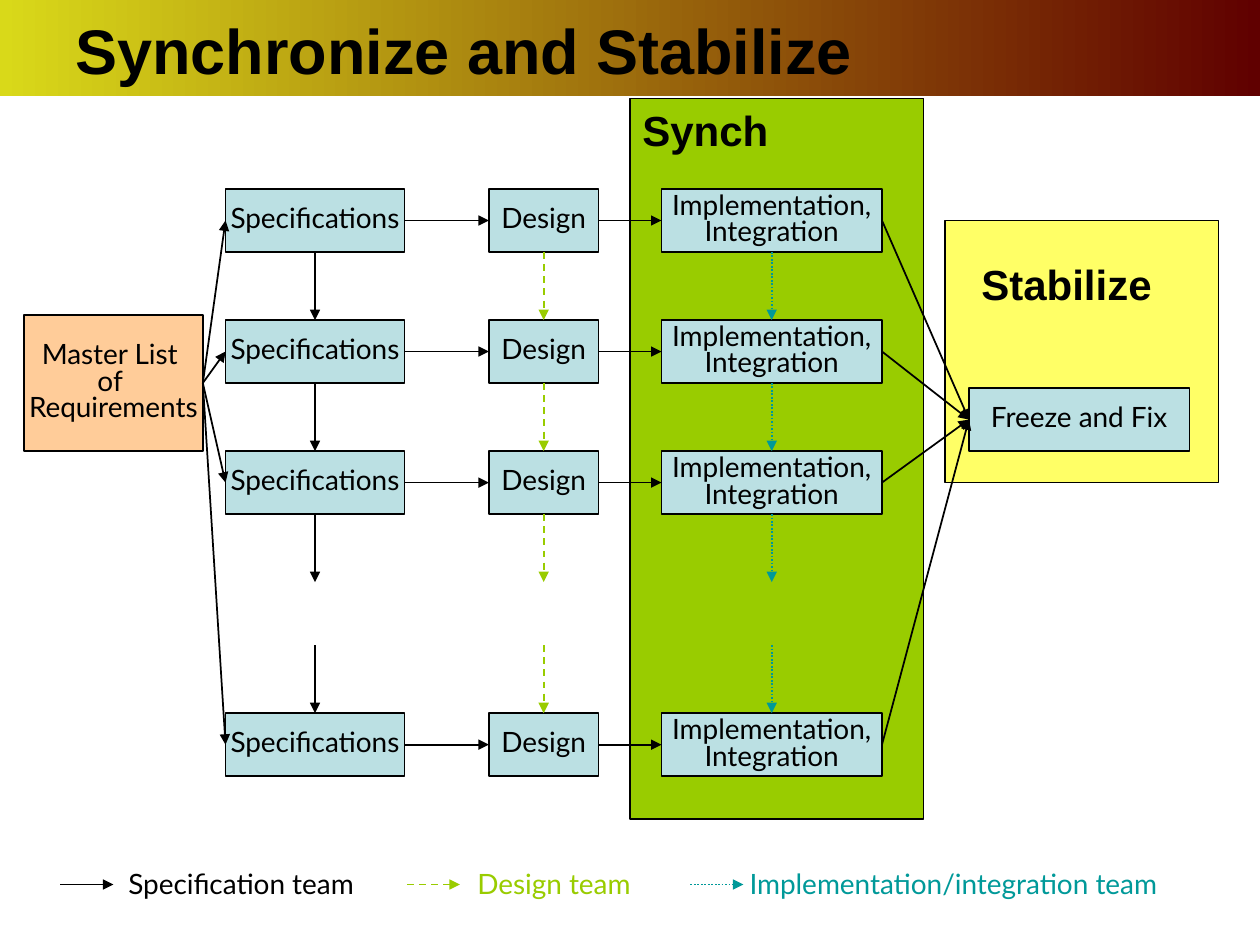
from lxml.etree import SubElement
from pptx import Presentation
from pptx.dml.color import RGBColor
from pptx.enum.dml import MSO_LINE as Dash
from pptx.enum.shapes import MSO_CONNECTOR as Connector, MSO_SHAPE as Shape
from pptx.enum.text import MSO_ANCHOR as Anchor, PP_ALIGN as Align
from pptx.oxml.ns import qn
from pptx.util import Inches, Pt

BLACK = RGBColor(0x00, 0x00, 0x00)
GREEN = RGBColor(0x99, 0xCC, 0x00)
TEAL = RGBColor(0x00, 0x99, 0x99)
YELLOW = RGBColor(0xFF, 0xFF, 0x66)
PALE_BLUE = RGBColor(0xBB, 0xE0, 0xE3)
PEACH = RGBColor(0xFF, 0xCC, 0x99)
BANNER_START = RGBColor(0xD9, 0xD9, 0x19)
BANNER_END = RGBColor(0x60, 0x00, 0x00)

LABEL = {"name": "Lato", "size": Pt(16)}
HEADING = {"name": "Arial", "size": Pt(24), "bold": True}
TITLE = {"name": "Arial", "size": Pt(36), "bold": True}

TOP, BOTTOM, LEFT, RIGHT = 0, 2, 1, 3
ROW_TOP, ROW_PITCH, BOX_HEIGHT = 1.5, 1.04, 0.5
SLOTS = 5
FILLED_ROWS = (0, 1, 2, 4)
STAGES = [
    (1.79, 1.42, ["Specifications"], BLACK, None),
    (3.88, 0.87, ["Design"], GREEN, Dash.DASH),
    (5.25, 1.75, ["Implementation,", "Integration"], TEAL, Dash.ROUND_DOT),
]
LEGEND = [
    (0.48, 0.92, 2.11, "Specification team"),
    (3.23, 3.69, 1.52, "Design team"),
    (5.48, 5.85, 3.72, "Implementation/integration team"),
]


def write_lines(shape, lines, font_format, color=BLACK, **paragraph_format):
    """Fill a shape with one formatted paragraph per line."""
    frame = shape.text_frame
    for index, line in enumerate(lines):
        paragraph = frame.add_paragraph() if index else frame.paragraphs[0]
        paragraph.text = line
        for name, value in paragraph_format.items():
            setattr(paragraph, name, value)
        for name, value in font_format.items():
            setattr(paragraph.font, name, value)
        paragraph.font.color.rgb = color


def add_panel(slide, area, color, line_width=0.75):
    """Draw a filled rectangle with a black outline."""
    shape = slide.shapes.add_shape(Shape.RECTANGLE, *map(Inches, area))
    shape.shadow.inherit = False
    shape.fill.solid()
    shape.fill.fore_color.rgb = color
    shape.line.color.rgb = BLACK
    shape.line.width = Pt(line_width)
    return shape


def add_box(slide, area, lines, color=PALE_BLUE):
    """Draw a process box with tightly spaced centred text."""
    shape = add_panel(slide, area, color, 1)
    shape.text_frame.word_wrap = False
    shape.text_frame.vertical_anchor = Anchor.MIDDLE
    write_lines(shape, lines, LABEL, alignment=Align.CENTER, line_spacing=0.8)
    return shape


def add_text(slide, area, text, font_format, color=BLACK, anchor=Anchor.TOP):
    """Place a single line of text."""
    shape = slide.shapes.add_textbox(*map(Inches, area))
    shape.text_frame.word_wrap = False
    shape.text_frame.vertical_anchor = anchor
    write_lines(shape, [text], font_format, color)


def add_arrow(slide, ends=(0, 0, 0, 0), color=BLACK, dash=None, source=None, target=None):
    """Draw an arrow, joining either end to a given (shape, side)."""
    arrow = slide.shapes.add_connector(Connector.STRAIGHT, *map(Inches, ends))
    if source:
        arrow.begin_connect(*source)
    if target:
        arrow.end_connect(*target)
    arrow.line.color.rgb = color
    arrow.line.width = Pt(1)
    if dash:
        arrow.line.dash_style = dash
    SubElement(arrow.line._get_or_add_ln(), qn("a:tailEnd"), type="triangle")
    SubElement(arrow._element.spPr, qn("a:effectLst"))


def add_banner(slide):
    """Draw the gradient banner and the title."""
    banner = add_panel(slide, (0, 0, 10, 0.76), BANNER_START)
    banner.line.fill.background()
    banner.fill.gradient()
    banner.fill.gradient_angle = 0
    for stop, color in zip(banner.fill.gradient_stops, (BANNER_START, BANNER_END)):
        stop.color.rgb = color
    add_text(slide, (0.5, 0, 9, 0.78), "Synchronize and Stabilize", TITLE, anchor=Anchor.MIDDLE)


def add_stage_column(slide, stage):
    """Draw one stage's boxes and the arrows down through all slots."""
    left, width, lines, color, dash = stage
    boxes = {
        row: add_box(slide, (left, ROW_TOP + row * ROW_PITCH, width, BOX_HEIGHT), lines)
        for row in FILLED_ROWS
    }
    center = left + width / 2
    for row in range(SLOTS - 1):
        top = ROW_TOP + row * ROW_PITCH
        add_arrow(
            slide, (center, top + BOX_HEIGHT, center, top + ROW_PITCH), color, dash,
            source=(boxes[row], BOTTOM) if row in boxes else None,
            target=(boxes[row + 1], TOP) if row + 1 in boxes else None,
        )
    return boxes


def add_legend(slide):
    """Draw a sample arrow and name for each team."""
    for (arrow_left, text_left, width, name), stage in zip(LEGEND, STAGES):
        color, dash = stage[3:]
        add_arrow(slide, (arrow_left, 7.02, arrow_left + 0.42, 7.02), color, dash)
        add_text(slide, (text_left, 6.83, width, 0.37), name, LABEL, color)


def main():
    """Build the slide and save it."""
    presentation = Presentation()
    presentation.slide_width, presentation.slide_height = Inches(10), Inches(7.5)
    slide = presentation.slides.add_slide(presentation.slide_layouts[6])

    add_banner(slide)
    add_panel(slide, (7.5, 1.75, 2.17, 2.08), YELLOW)
    add_panel(slide, (5, 0.78, 2.33, 5.72), GREEN)
    add_text(slide, (5, 0.78, 1.2, 0.5), "Synch", HEADING)
    add_text(slide, (7.69, 2, 1.55, 0.5), "Stabilize", HEADING)

    master = add_box(slide, (0.19, 2.5, 1.42, 1.08), ["Master List ", "of ", "Requirements"], PEACH)
    freeze = add_box(slide, (7.69, 3.08, 1.75, BOX_HEIGHT), ["Freeze and Fix"])
    columns = [add_stage_column(slide, stage) for stage in STAGES]
    for row in FILLED_ROWS:
        chain = [master, *(column[row] for column in columns), freeze]
        for source, target in zip(chain, chain[1:]):
            add_arrow(slide, source=(source, RIGHT), target=(target, LEFT))

    add_legend(slide)
    presentation.save("out.pptx")


if __name__ == "__main__":
    main()
